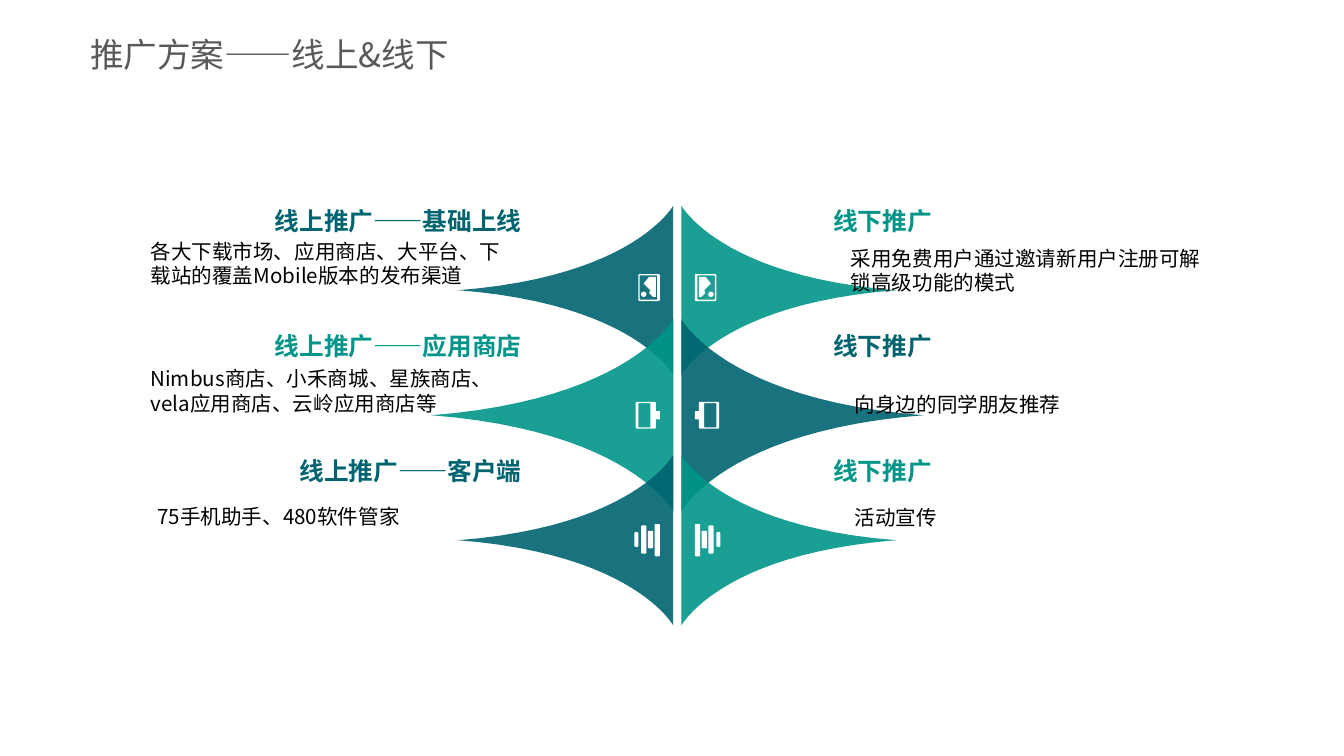
from math import cos, pi, sin

from lxml import etree
from pptx import Presentation
from pptx import util as u
from pptx.dml.color import RGBColor
from pptx.enum import text as t
from pptx.oxml import ns

FONT = "Noto Sans CJK SC"
TEAL = RGBColor(0x00, 0x64, 0x70)
GREEN = RGBColor(0x00, 0x95, 0x89)
GREY = RGBColor(0x59, 0x59, 0x59)
BLACK = RGBColor(0, 0, 0)
WHITE = RGBColor(0xFF, 0xFF, 0xFF)

# Slide in 16:9
SLIDE_WIDTH = 10
SLIDE_HEIGHT = SLIDE_WIDTH * 9 / 16

# Grid: rows either side of a vertical axis
AXIS = 5.04
FIRST_ROW, ROW_PITCH = 2.16, 0.93
GAP = 0.03                      # axis to petal base
COLUMN_WIDTH = 3.47
HEADING_RISE = 0.52             # row centre up to heading centre
HEADING_INSETS = (0.39, 0, 0.32, 0)
BODY_INSETS = (0.39, 0, 0.35, 0)
PETAL_SIZES = [(1.6, 1.26), (1.8, 1.43), (1.6, 1.27)]

# Per side: direction, heading left, row colours, and for each row
# heading, body, body left, body centre below row centre
LEFT = (-1, 0.73, [TEAL, GREEN, TEAL], [
    ("线上推广——基础上线", "各大下载市场、应用商店、大平台、下载站的覆盖Mobile版本的发布渠道", 0.73, -0.2),
    ("线上推广——应用商店", "Nimbus商店、小禾商城、星族商店、vela应用商店、云岭应用商店等", 0.73, -0.18),
    ("线上推广——客户端", "75手机助手、480软件管家", 0.78, -0.18),
])
RIGHT = (1, 5.81, [GREEN, TEAL, GREEN], [
    ("线下推广", "采用免费用户通过邀请新用户注册可解锁高级功能的模式", 5.94, -0.15),
    ("线下推广", "向身边的同学朋友推荐", 5.97, -0.08),
    ("线下推广", "活动宣传", 5.97, -0.17),
])


def rounded_box(left, top, right, bottom, radius=1):
    """Outline of a rounded box."""
    corners = [(right - radius, bottom - radius, 0), (left + radius, bottom - radius, 1),
               (left + radius, top + radius, 2), (right - radius, top + radius, 3)]
    return [(x + radius * cos((quarter + step / 3) * pi / 2),
             y + radius * sin((quarter + step / 3) * pi / 2))
            for x, y, quarter in corners for step in range(4)]


def petal_outline(width, height, steps=24):
    """Pointed petal: one Bezier edge and its mirror image."""
    upper = []
    for step in range(steps + 1):
        s = step / steps
        upper.append((width * (0.54 * s * s * (1 - s) + s ** 3),
                      height * (1.26 * s * s * (1 - s) + 0.5 * s ** 3 - 0.5)))
    return upper + [(x, -y) for x, y in reversed(upper[:-1])]


# Icon outlines in hundredths of an inch from axis and row centre
ICONS = [
    [rounded_box(13, -12, 29, 8), rounded_box(15, -11, 28, 7, 0.4),
     rounded_box(23, 1, 27, 5, 2),
     [(16, -10), (16, 5), (18, 5), (21, 2), (20, 0), (25, -5), (21, -10)]],
    [rounded_box(16, -10, 31, 10), rounded_box(20, -9, 29, 9, 0.4),
     rounded_box(13, -3, 16, 3, 0.4)],
    [rounded_box(13, -12, 17, 12), rounded_box(18, -7, 22, 6),
     rounded_box(23, -11, 27, 10), rounded_box(29, -6, 32, 5)],
]


def add_outline(slide, contours, origin, direction, unit, color, opacity=None):
    """Draw contours as one shape, mirrored when direction is -1."""
    placed = [[(u.Inches(origin[0] + direction * x * unit), u.Inches(origin[1] + y * unit))
               for x, y in contour] for contour in contours]
    builder = slide.shapes.build_freeform(*placed[0][0], scale=1.0)
    for number, contour in enumerate(placed):
        if number:
            builder.move_to(*contour[0])
        builder.add_line_segments(contour[1:], close=True)
    shape = builder.convert_to_shape()
    shape.shadow.inherit = False
    shape.line.fill.background()
    shape.fill.solid()
    shape.fill.fore_color.rgb = color
    if opacity:
        fill = shape.element.spPr.find(ns.qn("a:solidFill"))
        etree.SubElement(fill[0], ns.qn("a:alpha"), val=str(opacity * 1000))


def write(shape, words, size, color, insets, bold=False, align=t.PP_ALIGN.LEFT):
    frame = shape.text_frame
    frame.word_wrap = True
    frame.auto_size = t.MSO_AUTO_SIZE.NONE
    frame.vertical_anchor = t.MSO_ANCHOR.MIDDLE
    frame.margin_left, frame.margin_top, frame.margin_right, frame.margin_bottom = map(u.Inches, insets)
    paragraph = frame.paragraphs[0]
    paragraph.alignment = align
    run = paragraph.add_run()
    run.text = words
    font = run.font
    font.name, font.size, font.bold = FONT, u.Pt(size), bold
    font.color.rgb = color
    # East Asian typeface
    etree.SubElement(run._r.get_or_add_rPr(), ns.qn("a:ea"), typeface=FONT)


def add_label(slide, left, middle, height, *args, **options):
    box = slide.shapes.add_textbox(u.Inches(left), u.Inches(middle - height / 2),
                                   u.Inches(COLUMN_WIDTH), u.Inches(height))
    write(box, *args, **options)


def add_title(slide, left, top, width, height):
    title = slide.shapes.title
    title.left, title.top, title.width, title.height = map(u.Inches, (left, top, width, height))
    write(title, "推广方案——线上&线下", 18, GREY, (0, 0.05, 0, 0.05))


def add_side(slide, direction, heading_left, colors, rows):
    """One half of the figure: petals with icons, headings and bodies."""
    align = t.PP_ALIGN.RIGHT if direction < 0 else t.PP_ALIGN.LEFT
    centres = [FIRST_ROW + ROW_PITCH * row for row in range(len(rows))]
    # Petals and icons
    for centre, color, size, icon in zip(centres, colors, PETAL_SIZES, ICONS):
        base = (AXIS + direction * GAP, centre)
        add_outline(slide, [petal_outline(*size)], base, direction, 1, color, opacity=90)
        add_outline(slide, icon, (AXIS, centre), direction, 0.01, WHITE)
    # Headings and bodies
    for centre, color, (heading, body, body_left, drop) in zip(centres, colors, rows):
        add_label(slide, heading_left, centre - HEADING_RISE, 0.24, heading, 13.2, color,
                  HEADING_INSETS, bold=True, align=align)
        add_label(slide, body_left, centre + drop, 0.41, body, 11, BLACK, BODY_INSETS)


def main():
    presentation = Presentation()
    presentation.slide_width = u.Inches(SLIDE_WIDTH)
    presentation.slide_height = u.Inches(SLIDE_HEIGHT)
    slide = presentation.slides.add_slide(presentation.slide_layouts[5])
    add_title(slide, 0.67, 0.19, 2.91, 0.42)
    for side in (LEFT, RIGHT):
        add_side(slide, *side)
    presentation.save("out.pptx")


if __name__ == "__main__":
    main()
